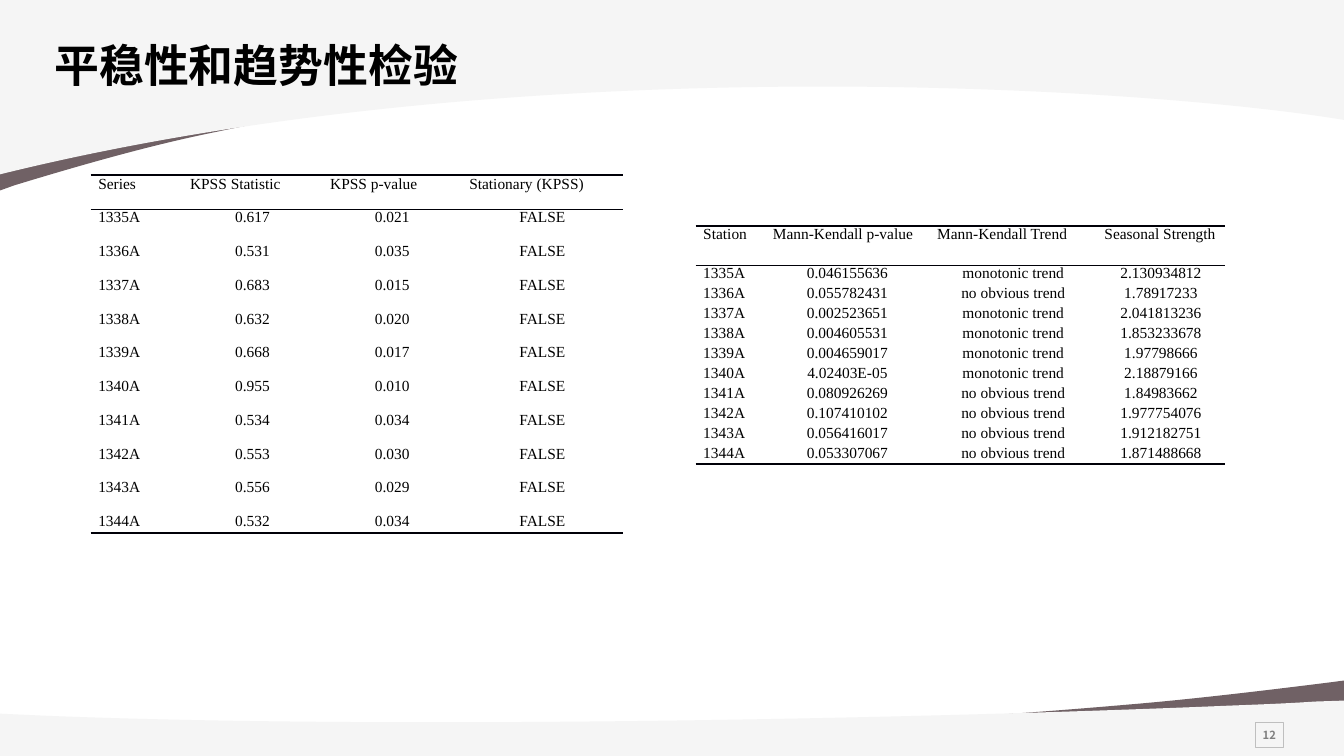
"""Builds the slide on stationarity and trend tests."""
from dataclasses import dataclass

from lxml import etree
from pptx import Presentation
from pptx import util as u
from pptx.dml.color import RGBColor
from pptx.enum import shapes, text
from pptx.oxml import ns

PX = u.Inches(1) // 100


@dataclass(frozen=True)
class Theme:
    """Colours, fonts and type sizes."""
    ink: str = "000000"
    rule: str = "000008"
    pale: str = "F5F5F5"
    accent: str = "341F24"
    frame: str = "BFBFBF"
    number: str = "808080"
    title_font: str = "Calibri"
    table_font: str = "Times New Roman"
    number_font: str = "Noto Sans CJK SC"
    title_size: int = 32
    table_size: int = 11
    number_size: int = 8
    cell_inset: float = 5.4
    heavy: float = 1.5
    light: float = 0.75


class SlideBuilder:
    """Draws styled elements on the current page."""

    def __init__(self, theme, deck):
        self.theme = theme
        self.page = deck.slides.add_slide(deck.slide_layouts[5])

    def place(self, box, left, top, width, height):
        box.left, box.top, box.width, box.height = (v * PX for v in (left, top, width, height))

    def style(self, para, font, size, colour, bold=False):
        para.font.name, para.font.size, para.font.bold = font, u.Pt(size), bold
        para.font.color.rgb = RGBColor.from_string(colour)

    def bend(self, band, pieces):
        segments = band.element.findall(".//" + ns.qn("a:lnTo"))
        for segment, piece in zip(segments, pieces):
            if len(piece) == 6:
                curve = etree.Element(ns.qn("a:cubicBezTo"))
                for x, y in zip(piece[::2], piece[1::2]):
                    etree.SubElement(curve, ns.qn("a:pt"),
                                     x=str(x * PX - band.left), y=str(y * PX - band.top))
                segment.getparent().replace(segment, curve)

    def swoosh(self, start, pieces, colour, opacity=None):
        builder = self.page.shapes.build_freeform(*start, scale=PX)
        builder.add_line_segments([piece[-2:] for piece in pieces])
        band = builder.convert_to_shape()
        outline = band.element.find(".//" + ns.qn("a:path"))
        outline.set("w", str(band.width))
        outline.set("h", str(band.height))
        for point in outline.iter(ns.qn("a:pt")):
            for axis in ("x", "y"):
                point.set(axis, str(int(point.get(axis)) * PX))
        self.bend(band, pieces)
        band.shadow.inherit = False
        band.line.fill.background()
        band.fill.solid()
        band.fill.fore_color.rgb = RGBColor.from_string(colour)
        if opacity:
            tint = band.element.spPr.find(".//" + ns.qn("a:srgbClr"))
            etree.SubElement(tint, ns.qn("a:alpha"), val=str(opacity * 1000))

    def title(self, words, *bounds):
        box = self.page.shapes.title
        box.element.getparent().append(box.element)
        self.place(box, *bounds)
        frame = box.text_frame
        frame.text = words
        frame.vertical_anchor = text.MSO_ANCHOR.MIDDLE
        frame.auto_size = text.MSO_AUTO_SIZE.NONE
        para = frame.paragraphs[0]
        para.alignment = text.PP_ALIGN.LEFT
        self.style(para, self.theme.title_font, self.theme.title_size, self.theme.ink, True)

    def page_number(self, words, *bounds):
        box = self.page.shapes.add_shape(
            shapes.MSO_SHAPE.RECTANGLE, *(v * PX for v in bounds))
        box.shadow.inherit = False
        box.fill.background()
        box.line.color.rgb = RGBColor.from_string(self.theme.frame)
        box.line.width = u.Pt(self.theme.light)
        frame = box.text_frame
        frame.text = words
        frame.word_wrap = False
        frame.vertical_anchor = text.MSO_ANCHOR.MIDDLE
        frame.margin_left = frame.margin_right = frame.margin_top = frame.margin_bottom = 8 * PX
        para = frame.paragraphs[0]
        para.alignment = text.PP_ALIGN.CENTER
        self.style(para, self.theme.number_font, self.theme.number_size, self.theme.number, True)

    def borders(self, cell, top, bottom):
        props = cell._tc.get_or_add_tcPr()
        for side, width in (("L", None), ("R", None), ("T", top), ("B", bottom)):
            line = etree.SubElement(props, ns.qn("a:ln" + side))
            if width:
                line.set("w", str(u.Pt(width)))
                fill = etree.SubElement(line, ns.qn("a:solidFill"))
                etree.SubElement(fill, ns.qn("a:srgbClr"), val=self.theme.rule)
            else:
                etree.SubElement(line, ns.qn("a:noFill"))

    def table(self, left, top, height, widths, odd_row, odd_height, rows):
        last = len(rows) - 1
        grid = self.page.shapes.add_table(
            len(rows), len(widths), left * PX, top * PX, sum(widths) * PX, height * PX).table
        grid.first_row = grid.horz_banding = False
        for column, width in zip(grid.columns, widths):
            column.width = width * PX
        for row in grid.rows:
            row.height = (height - odd_height) * PX // last
        grid.rows[odd_row].height = odd_height * PX
        heavy, light = self.theme.heavy, self.theme.light
        tops, bottoms = {0: heavy, 1: light}, {0: light, last: heavy}
        for r, values in enumerate(rows):
            for c, value in enumerate(values):
                cell = grid.cell(r, c)
                cell.text = value
                cell.margin_left = cell.margin_right = u.Pt(self.theme.cell_inset)
                cell.margin_top = cell.margin_bottom = 0
                self.borders(cell, tops.get(r), bottoms.get(r))
                cell.fill.background()
                para = cell.text_frame.paragraphs[0]
                centred = r and c
                para.alignment = text.PP_ALIGN.CENTER if centred else text.PP_ALIGN.JUSTIFY
                self.style(para, self.theme.table_font, self.theme.table_size, self.theme.ink)


STATIONS = [f"{number}A" for number in range(1335, 1345)]
KPSS = [
    ("0.617", "0.021"), ("0.531", "0.035"), ("0.683", "0.015"), ("0.632", "0.020"),
    ("0.668", "0.017"), ("0.955", "0.010"), ("0.534", "0.034"), ("0.553", "0.030"),
    ("0.556", "0.029"), ("0.532", "0.034"),
]
MONOTONIC, NO_TREND = "monotonic trend", "no obvious trend"
MANN_KENDALL = [
    ("0.046155636", MONOTONIC, "2.130934812"),
    ("0.055782431", NO_TREND, "1.78917233"),
    ("0.002523651", MONOTONIC, "2.041813236"),
    ("0.004605531", MONOTONIC, "1.853233678"),
    ("0.004659017", MONOTONIC, "1.97798666"),
    ("4.02403E-05", MONOTONIC, "2.18879166"),
    ("0.080926269", NO_TREND, "1.84983662"),
    ("0.107410102", NO_TREND, "1.977754076"),
    ("0.056416017", NO_TREND, "1.912182751"),
    ("0.053307067", NO_TREND, "1.871488668"),
]


def main():
    """Builds and saves the deck."""
    deck = Presentation()
    deck.slide_width, deck.slide_height = 1333 * PX, 750 * PX
    theme = Theme()
    slide = SlideBuilder(theme, deck)

    slide.swoosh((0, 189), [(0, 22), (1334, 22), (1334, 91), (1333, 91),
                            (1032, 6, 514, 67, 214, 131), (154, 143, 86, 162, 14, 184)],
                 theme.accent, 70)
    slide.swoosh((0, 0), [(1333, 0), (1333, 119), (1140, 87, 517, 45, 0, 173)], theme.pale)
    slide.swoosh((1334, 675), [(1334, 744), (0, 744), (0, 715), (1, 716),
                               (301, 750, 820, 725, 1119, 699),
                               (1179, 694, 1247, 686, 1319, 677)],
                 theme.accent, 70)
    slide.swoosh((1334, 695), [(1334, 717), (1334, 719), (1334, 750), (0, 750),
                               (0, 719), (0, 717), (0, 708), (44, 710),
                               (392, 724, 910, 713, 1220, 700),
                               (1246, 699, 1275, 698, 1304, 696)],
                 theme.pale)
    slide.page_number("12", 1245, 717, 28, 25)
    slide.title("平稳性和趋势性检验", 44, 32, 667, 64)

    kpss_head = ("Series", "KPSS Statistic", "KPSS p-value", "Stationary (KPSS)")
    kpss_rows = [(name, *values, "FALSE") for name, values in zip(STATIONS, KPSS)]
    slide.table(90, 174, 355, (91, 139, 138, 160), 10, 20, [kpss_head, *kpss_rows])

    trend_head = ("Station", "Mann-Kendall p-value", "Mann-Kendall Trend", "Seasonal Strength")
    trend_rows = [(name, *values) for name, values in zip(STATIONS, MANN_KENDALL)]
    slide.table(690, 224, 237, (69, 163, 166, 127), 0, 39, [trend_head, *trend_rows])

    deck.save("out.pptx")


if __name__ == "__main__":
    main()
